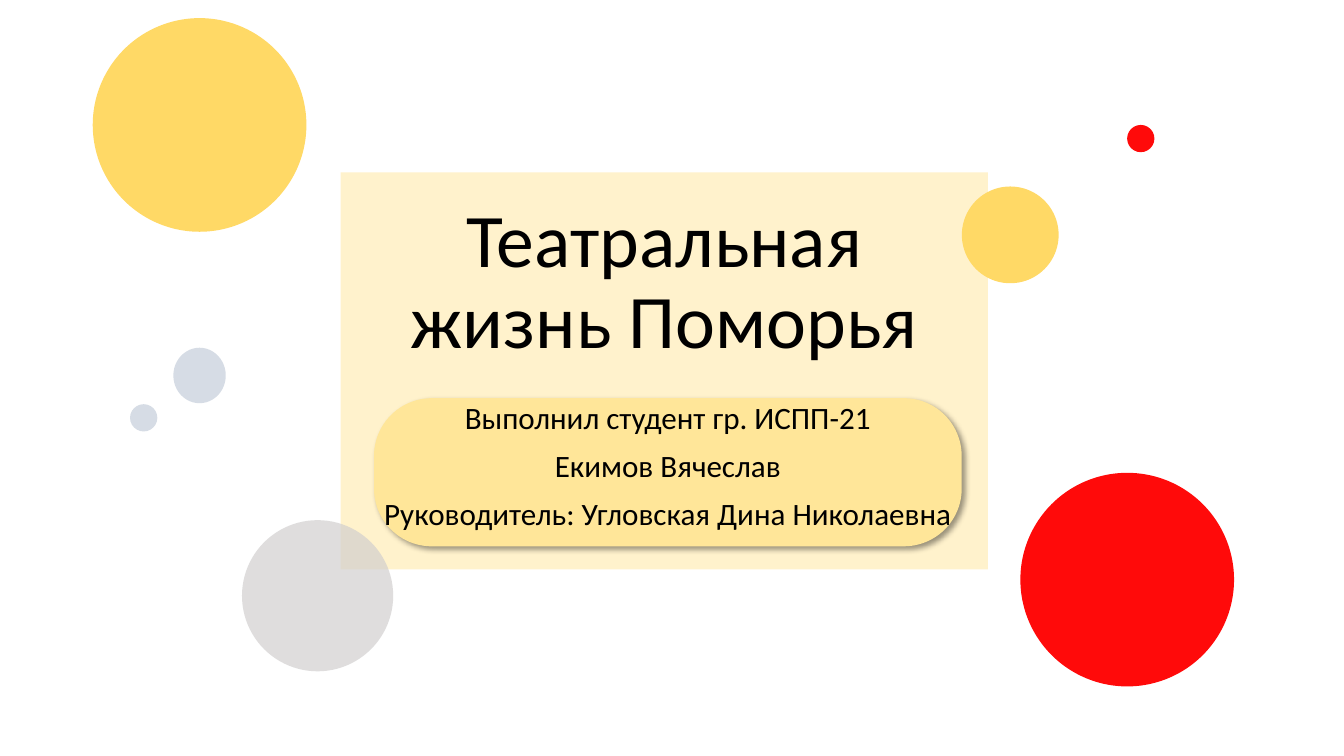
from lxml import etree
from pptx import Presentation
from pptx.dml.color import RGBColor
from pptx.enum.shapes import MSO_SHAPE
from pptx.enum.text import MSO_ANCHOR, PP_ALIGN
from pptx.oxml.ns import qn
from pptx.util import Inches, Pt

RECTANGLE = MSO_SHAPE.RECTANGLE
ROUNDED = MSO_SHAPE.ROUNDED_RECTANGLE
OVAL = MSO_SHAPE.OVAL
CENTER = PP_ALIGN.CENTER
TOP = MSO_ANCHOR.TOP
BOTTOM = MSO_ANCHOR.BOTTOM

COLORS = {
    "cream": "FFF2CC",
    "sand": "FFE699",
    "gold": "FFD966",
    "red": "FF0000",
    "mist": "D6DCE5",
    "grey": "D0CECE",
    "black": "000000",
}

CARD = (25.35, 22.8, 48.15, 52.53)
AUTHOR_PANEL = (27.83, 52.67, 43.73, 19.6)
TITLE_AREA = (26.18, 26.93, 46.51, 22)

CIRCLES = [
    ("red", 83.87, 76.67, 15.9, 15.9, 96),
    ("gold", 75.17, 31.07, 7.2, 7.2, 100),
    ("red", 84.88, 18.33, 2.03, 2.03, 96),
    ("mist", 10.69, 55.27, 2.03, 2.03, 100),
    ("mist", 14.85, 49.67, 3.9, 4.13, 100),
    ("grey", 23.63, 78.8, 11.25, 11.25, 68),
    ("gold", 14.85, 16.53, 15.9, 15.9, 100),
]

AUTHOR_LINES = [
    "Выполнил студент гр. ИСПП-21",
    "Екимов Вячеслав",
    "Руководитель: Угловская Дина Николаевна",
]


class SlideBuilder:
    font_name = "Calibri"
    line_spacing = 0.9

    def __init__(self, presentation):
        self.width = presentation.slide_width
        self.height = presentation.slide_height
        self.slide = presentation.slides.add_slide(presentation.slide_layouts[6])

    def place(self, area):
        left, top, width, height = area
        return (
            round(self.width * left / 100),
            round(self.height * top / 100),
            round(self.width * width / 100),
            round(self.height * height / 100),
        )

    def shape(self, kind, area, color, opacity=100):
        shape = self.slide.shapes.add_shape(kind, *self.place(area))
        shape.shadow.inherit = False
        shape.fill.solid()
        shape.fill.fore_color.rgb = RGBColor.from_string(COLORS[color])
        shape.line.fill.background()
        if opacity < 100:
            fill_color = shape._element.spPr.find(qn("a:solidFill"))[0]
            etree.SubElement(fill_color, qn("a:alpha"), val=str(opacity * 1000))
        return shape

    def circle(self, color, center_x, center_y, width, height, opacity):
        height_share = height * self.width / self.height
        area = (center_x - width / 2, center_y - height_share / 2, width, height_share)
        return self.shape(OVAL, area, color, opacity)

    def panel(self, area, color, corner):
        panel = self.shape(ROUNDED, area, color)
        panel.adjustments[0] = corner
        effects = panel._element.spPr.find(qn("a:effectLst"))
        shadow = etree.SubElement(
            effects, qn("a:outerShdw"), blurRad=str(Pt(4)), dist=str(Pt(3)),
            dir=str(45 * 60000), algn="tl", rotWithShape="0",
        )
        shadow_color = etree.SubElement(shadow, qn("a:srgbClr"), val=COLORS["black"])
        etree.SubElement(shadow_color, qn("a:alpha"), val="40000")
        return panel

    def text(self, area, lines, size, anchor, side_margin):
        box = self.slide.shapes.add_textbox(*self.place(area))
        frame = box.text_frame
        frame.word_wrap = True
        frame.vertical_anchor = anchor
        frame.margin_left = frame.margin_right = round(self.width * side_margin / 100)
        frame.text = "\n".join(lines)
        for index, paragraph in enumerate(frame.paragraphs):
            paragraph.alignment = CENTER
            paragraph.line_spacing = self.line_spacing
            if index:
                paragraph.space_before = Pt(10)
            for run in paragraph.runs:
                run.font.name = self.font_name
                run.font.size = Pt(size)
                run.font.color.rgb = RGBColor.from_string(COLORS["black"])
        return box


def main():
    presentation = Presentation()
    presentation.slide_width = Inches(13.33)
    presentation.slide_height = Inches(7.5)

    builder = SlideBuilder(presentation)
    builder.shape(RECTANGLE, CARD, "cream")
    builder.panel(AUTHOR_PANEL, "sand", 0.39)
    for circle in CIRCLES:
        builder.circle(*circle)
    builder.text(TITLE_AREA, ["Театральная жизнь Поморья"], 54, BOTTOM, 1.2)
    builder.text(AUTHOR_PANEL, AUTHOR_LINES, 22.2, TOP, 0.4)

    presentation.save("out.pptx")


if __name__ == "__main__":
    main()
